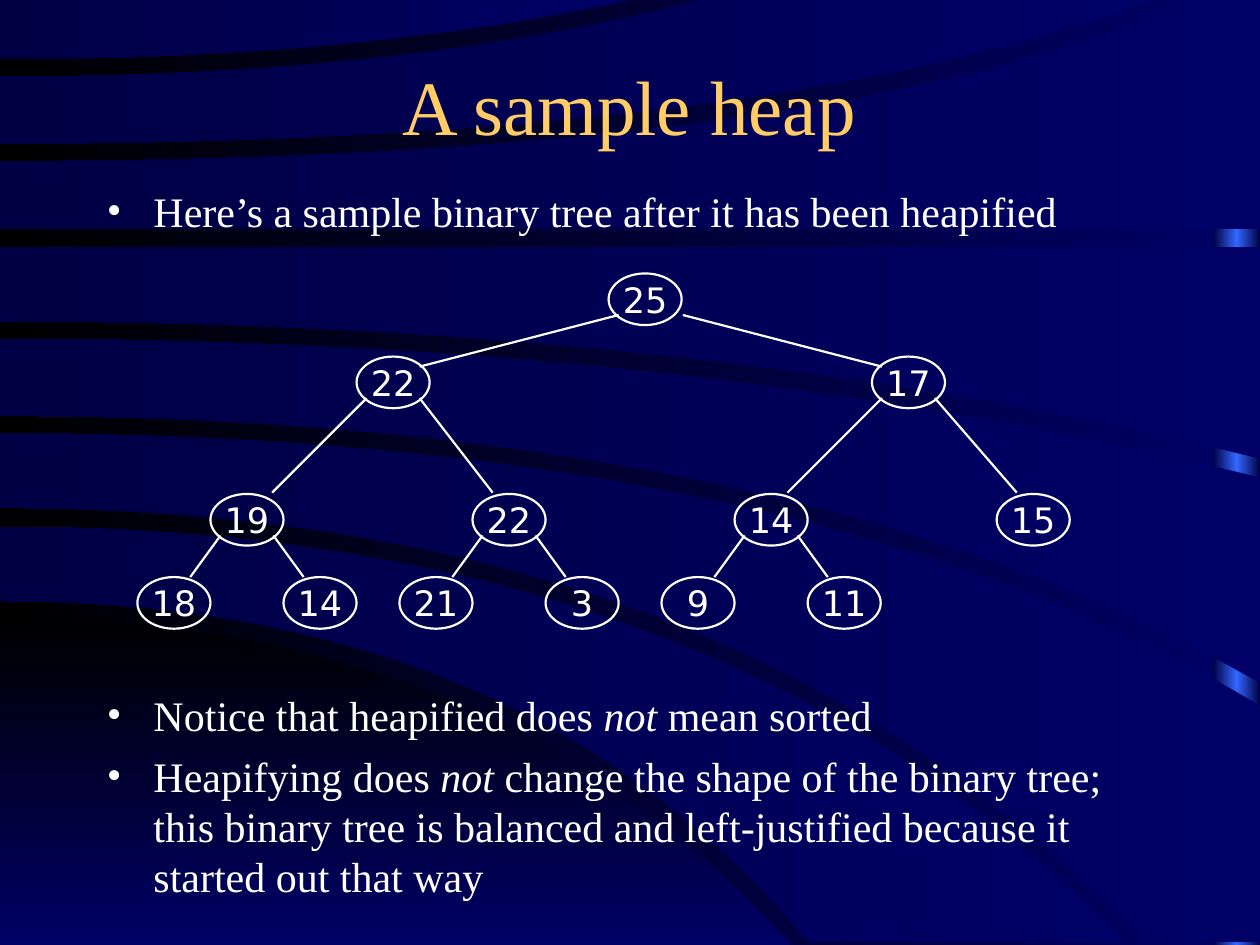
from collections import namedtuple
from copy import deepcopy

from lxml import etree
from pptx import Presentation
from pptx.dml.color import RGBColor
from pptx.enum import shapes, text
from pptx.oxml import ns
from pptx.util import Inches, Pt

WHITE = RGBColor(0xFF, 0xFF, 0xFF)
GOLD = RGBColor(0xFF, 0xCC, 0x66)
BLACK = RGBColor(0x00, 0x00, 0x00)
NAVY = RGBColor(0x00, 0x00, 0x66)
DARK_NAVY = RGBColor(0x00, 0x00, 0x44)
BRIGHT_BLUE = RGBColor(0x33, 0x66, 0xFF)
SERIF = "Times New Roman"
SANS = "DejaVu Sans"

Arc = namedtuple("Arc", "start_y knee_x end_x end_y")
CURVE_STEPS = 24
CORNER = (Arc(4.91, 3.98, 6.28, 7.5), Arc(7.5, 3, 6.28, 7.5))
BANDS = [
    (Arc(4.18, 5.76, 8.93, 7.48), Arc(4.77, 4.19, 6.42, 7.48)),
    (Arc(3.44, 6.4, 10, 5.6), Arc(4.03, 5.88, 9.09, 7.48)),
    (Arc(2.69, 5.54, 10, 3.79), Arc(3.3, 6.3, 10, 5.42)),
    (Arc(1.96, 5, 10, 1.96), Arc(2.55, 5.6, 10, 3.64)),
    (Arc(1.28, 6.66, 9.43, 0), Arc(1.82, 5, 10, 1.82)),
    (Arc(0.61, 3.26, 5.56, 0), Arc(1.14, 6.08, 9.17, 0)),
    (Arc(0, 2.5, 5.01, 0), Arc(0.47, 2.82, 5.01, 0)),
]

HEAP = ["25", "22", "17", "19", "22", "14", "15", "18", "14", "21", "3", "9", "11"]
LEVEL_TOPS = [2.17, 2.83, 3.92, 4.58]
LEVEL_LEFTS = [4.83, 2.83, 1.67]
LEVEL_STEPS = [0, 4.09, 2.08]
LEAF_SHIFT = 0.58
EDGE_STARTS = {3: 0.59}
EDGE_ENDS = {2: 0.5, 3: 0.08, 4: 0.49}
EDGE_ENDS_Y = [None, 2.91, 3.91, 4.58]


def paint_gradient(fill, colors, angle=180):
    fill.gradient()
    fill.gradient_angle = angle
    first = fill.gradient_stops[0]._gs
    for _ in colors[2:]:
        first.addnext(deepcopy(first))
    for index, (stop, color) in enumerate(zip(fill.gradient_stops, colors)):
        stop.position = index / (len(colors) - 1)
        stop.color.rgb = color


def trace_arc(arc):
    points = []
    for step in range(CURVE_STEPS + 1):
        t = step / CURVE_STEPS
        x = 2 * t * (1 - t) * arc.knee_x + t * t * arc.end_x
        y = arc.start_y + t * t * (arc.end_y - arc.start_y)
        points.append((Inches(x), Inches(y)))
    return points


def add_swoosh(page, upper, lower, colors, angle=180):
    shorter, longer = sorted([upper, lower], key=lambda arc: arc.end_x)
    corner = Inches(longer.end_x), Inches(shorter.end_y)
    first, *rest = trace_arc(upper) + [corner] + trace_arc(lower)[::-1]
    builder = page.shapes.build_freeform(*first)
    builder.add_line_segments(rest, close=True)
    swoosh = builder.convert_to_shape()
    swoosh.shadow.inherit = False
    swoosh.line.fill.background()
    paint_gradient(swoosh.fill, colors, angle)


def add_side_strip(page):
    strip = page.shapes.add_shape(
        shapes.MSO_SHAPE.RECTANGLE, Inches(9.63), 0, Inches(0.37), Inches(7.5))
    strip.shadow.inherit = False
    strip.line.fill.background()
    paint_gradient(strip.fill, [DARK_NAVY, BRIGHT_BLUE, DARK_NAVY])


def add_span(para, words, size, font, color, italic=False):
    span = para.add_run()
    span.text = words
    span.font.size = Pt(size)
    span.font.name = font
    span.font.color.rgb = color
    span.font.italic = italic


def add_title(page, words):
    box = page.shapes.add_textbox(Inches(0.33), Inches(0.42), Inches(9.33), Inches(0.83))
    frame = box.text_frame
    frame.word_wrap = True
    frame.vertical_anchor = text.MSO_ANCHOR.MIDDLE
    frame.paragraphs[0].alignment = text.PP_ALIGN.CENTER
    add_span(frame.paragraphs[0], words, 44, SERIF, GOLD)


def set_bullet(para):
    props = para._p.get_or_add_pPr()
    props.set("marL", str(Inches(0.37)))
    props.set("indent", str(-Inches(0.37)))
    color = etree.SubElement(props, ns.qn("a:buClr"))
    etree.SubElement(color, ns.qn("a:srgbClr"), val=str(WHITE))
    etree.SubElement(props, ns.qn("a:buFont"), typeface=SERIF)
    etree.SubElement(props, ns.qn("a:buChar"), char="•")


def add_bullets(page, top, height, items):
    box = page.shapes.add_textbox(Inches(0.75), Inches(top), Inches(8.5), Inches(height))
    frame = box.text_frame
    frame.word_wrap = True
    for index, item in enumerate(items):
        para = frame.add_paragraph() if index else frame.paragraphs[0]
        para.space_before = Pt(6)
        set_bullet(para)
        for words in item:
            add_span(para, words, 24, SERIF, WHITE, italic=words == "not")


def add_node(page, value, left, top):
    node = page.shapes.add_shape(
        shapes.MSO_SHAPE.OVAL, Inches(left), Inches(top), Inches(0.58), Inches(0.41))
    node.shadow.inherit = False
    node.fill.background()
    node.line.color.rgb = WHITE
    node.line.width = Pt(1.25)
    frame = node.text_frame
    frame.word_wrap = False
    frame.vertical_anchor = text.MSO_ANCHOR.MIDDLE
    frame.paragraphs[0].alignment = text.PP_ALIGN.CENTER
    add_span(frame.paragraphs[0], value, 20, SANS, WHITE)


def add_edge(page, *ends):
    edge = page.shapes.add_connector(shapes.MSO_CONNECTOR.STRAIGHT, *map(Inches, ends))
    edge.line.color.rgb = WHITE
    edge.line.width = Pt(1.25)
    etree.SubElement(edge._element.spPr, ns.qn("a:effectLst"))


def node_left(number):
    level = number.bit_length() - 1
    if level < len(LEVEL_LEFTS):
        return LEVEL_LEFTS[level] + LEVEL_STEPS[level] * (number - 2 ** level)
    return node_left(number // 2) + (LEAF_SHIFT if number % 2 else -LEAF_SHIFT)


def add_heap(page):
    for number, value in enumerate(HEAP, 1):
        level = number.bit_length() - 1
        left = node_left(number)
        add_node(page, value, left, LEVEL_TOPS[level])
        if level:
            start, end = (0.5, 0.16) if number % 2 else (0.08, 0.42)
            add_edge(
                page,
                node_left(number // 2) + EDGE_STARTS.get(number, start),
                LEVEL_TOPS[level - 1] + 0.33,
                left + EDGE_ENDS.get(number, end),
                EDGE_ENDS_Y[level])


def main():
    deck = Presentation()
    deck.slide_width, deck.slide_height = Inches(10), Inches(7.5)
    page = deck.slides.add_slide(deck.slide_layouts[6])
    paint_gradient(page.background.fill, [NAVY, BLACK])
    add_side_strip(page)
    add_swoosh(page, *CORNER, [BLACK, NAVY], angle=270)
    for band in BANDS:
        add_swoosh(page, *band, [NAVY, DARK_NAVY])
    add_title(page, "A sample heap")
    add_bullets(page, 1.42, 0.83, [["Here’s a sample binary tree after it has been heapified"]])
    add_bullets(page, 5.42, 1.83, [
        ["Notice that heapified does ", "not", " mean sorted"],
        ["Heapifying does ", "not", " change the shape of the binary tree; this binary tree "
         "is balanced and left-justified because it started out that way"],
    ])
    add_heap(page)
    deck.save("out.pptx")


if __name__ == "__main__":
    main()
